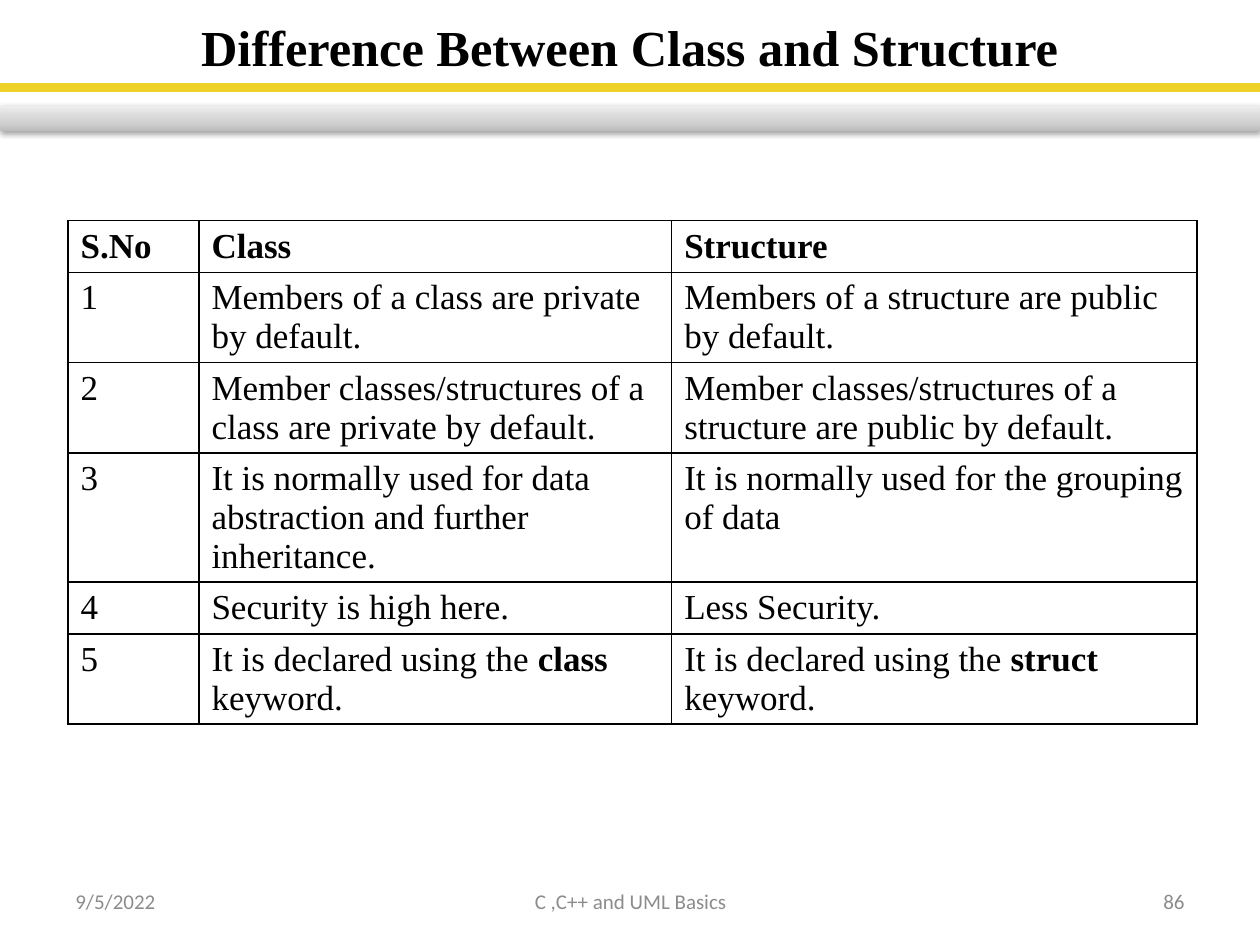
"""Build the slide that compares classes with structures in a table."""
import dataclasses
import typing

import lxml.etree
import pptx
import pptx.dml.color
import pptx.enum.shapes
import pptx.enum.text
import pptx.oxml.ns
import pptx.util

Cm = pptx.util.Cm
Pt = pptx.util.Pt
Align = pptx.enum.text.PP_ALIGN
qn = pptx.oxml.ns.qn

SLIDE_WIDTH, SLIDE_HEIGHT = 25.4, 19.05
BLACK, GREY, YELLOW = "000000", "8C8C8C", "EED126"
TITLE_FORMAT = {"name": "Times New Roman", "size": Pt(28.8), "bold": True}
CELL_FORMAT = {"name": "Times New Roman", "size": Pt(20)}
FOOTER_FORMAT = {"name": "Calibri", "size": Pt(12)}
COLUMN_WIDTHS = (2.64, 9.53, 10.59)
ROW_HEIGHT = 1.04
BAND_STOPS = ((0, "BDBDBD"), (35, "D1D1D1"), (100, "EEEEEE"))
COMPARISON = (
    ("*S.No*", "*Class*", "*Structure*"),
    ("1", "Members of a class are private by default.",
     "Members of a structure are public by default."),
    ("2", "Member classes/structures of a class are private by default.",
     "Member classes/structures of a structure are public by default."),
    ("3", "It is normally used for data abstraction and further inheritance.",
     "It is normally used for the grouping of data"),
    ("4", "Security is high here.", "Less Security."),
    ("5", "It is declared using the *class* keyword.",
     "It is declared using the *struct *keyword."),
)


@dataclasses.dataclass(frozen=True)
class Label:
    text: str
    left: float
    top: float
    width: float
    height: float
    align: Align
    format: dict
    color: str


LABELS = (
    Label("Difference Between Class and Structure", 1.27, 0.3, 22.86, 1.27,
          Align.CENTER, TITLE_FORMAT, BLACK),
    Label("9/5/2022", 1.27, 17.65, 5.93, 1.02, Align.LEFT, FOOTER_FORMAT, GREY),
    Label("C ,C++ and UML Basics", 8.69, 17.65, 8.05, 1.02,
          Align.CENTER, FOOTER_FORMAT, GREY),
    Label("86", 18.2, 17.65, 5.93, 1.02, Align.RIGHT, FOOTER_FORMAT, GREY),
)


def rgb(value: str) -> pptx.dml.color.RGBColor:
    return pptx.dml.color.RGBColor.from_string(value)


def add_child(parent: typing.Any, tag: str, **attributes: typing.Any) -> typing.Any:
    values = {key: str(value) for key, value in attributes.items()}
    return lxml.etree.SubElement(parent, qn(tag), values)


def add_run(paragraph: typing.Any, text: str, values: dict, color: str) -> None:
    run = paragraph.add_run()
    run.text = text
    for attribute, value in values.items():
        setattr(run.font, attribute, value)
    run.font.color.rgb = rgb(color)


def draw_label(slide: typing.Any, label: Label) -> None:
    box = slide.shapes.add_textbox(
        Cm(label.left), Cm(label.top), Cm(label.width), Cm(label.height))
    frame = box.text_frame
    frame.word_wrap = True
    frame.vertical_anchor = pptx.enum.text.MSO_ANCHOR.MIDDLE
    paragraph = frame.paragraphs[0]
    paragraph.alignment = label.align
    add_run(paragraph, label.text, label.format, label.color)


def draw_bar(slide: typing.Any, top: float, height: float) -> typing.Any:
    bar = slide.shapes.add_shape(
        pptx.enum.shapes.MSO_SHAPE.RECTANGLE,
        Cm(0), Cm(top), Cm(SLIDE_WIDTH), Cm(height))
    bar.shadow.inherit = False
    return bar


def draw_yellow_rule(slide: typing.Any) -> None:
    rule = draw_bar(slide, 1.7, 0.13)
    rule.fill.solid()
    rule.fill.fore_color.rgb = rgb(YELLOW)
    rule.line.color.rgb = rgb(YELLOW)
    rule.line.width = Pt(2)


def draw_grey_band(slide: typing.Any) -> None:
    band = draw_bar(slide, 2.13, 0.51)
    band.line.fill.background()
    band.fill.gradient()
    band.fill.gradient_angle = 90
    properties = band.element.spPr
    stops = properties.find(".//" + qn("a:gsLst"))
    for stop in list(stops):
        stops.remove(stop)
    for position, color in BAND_STOPS:
        stop = add_child(stops, "a:gs", pos=position * 1000)
        add_child(stop, "a:srgbClr", val=color)
    shadow = add_child(
        properties.find(qn("a:effectLst")), "a:outerShdw", blurRad=Pt(3.1),
        dist=Pt(1.6), dir=90 * 60000, rotWithShape=0)
    shade = add_child(shadow, "a:srgbClr", val=BLACK)
    add_child(shade, "a:alpha", val=38000)


def fill_cell(cell: typing.Any, text: str) -> None:
    properties = cell._tc.get_or_add_tcPr()
    for side in ("a:lnL", "a:lnR", "a:lnT", "a:lnB"):
        border = add_child(properties, side, w=Pt(1))
        add_child(add_child(border, "a:solidFill"), "a:srgbClr", val=BLACK)
    cell.fill.background()
    for index, part in enumerate(text.split("*")):
        if part:
            add_run(cell.text_frame.paragraphs[0], part,
                    CELL_FORMAT | {"bold": index % 2 == 1}, BLACK)


def draw_comparison(slide: typing.Any) -> None:
    table = slide.shapes.add_table(
        len(COMPARISON), len(COLUMN_WIDTHS), Cm(1.37), Cm(4.45),
        Cm(sum(COLUMN_WIDTHS)), Cm(ROW_HEIGHT * len(COMPARISON))).table
    table.first_row = table.horz_banding = False
    for column, width in zip(table.columns, COLUMN_WIDTHS):
        column.width = Cm(width)
    for row, texts in zip(table.rows, COMPARISON):
        row.height = Cm(ROW_HEIGHT)
        for cell, text in zip(row.cells, texts):
            fill_cell(cell, text)


def main() -> None:
    presentation = pptx.Presentation()
    presentation.slide_width = Cm(SLIDE_WIDTH)
    presentation.slide_height = Cm(SLIDE_HEIGHT)
    slide = presentation.slides.add_slide(presentation.slide_layouts[6])
    draw_yellow_rule(slide)
    draw_grey_band(slide)
    draw_comparison(slide)
    for label in LABELS:
        draw_label(slide, label)
    presentation.save("out.pptx")


if __name__ == "__main__":
    main()
